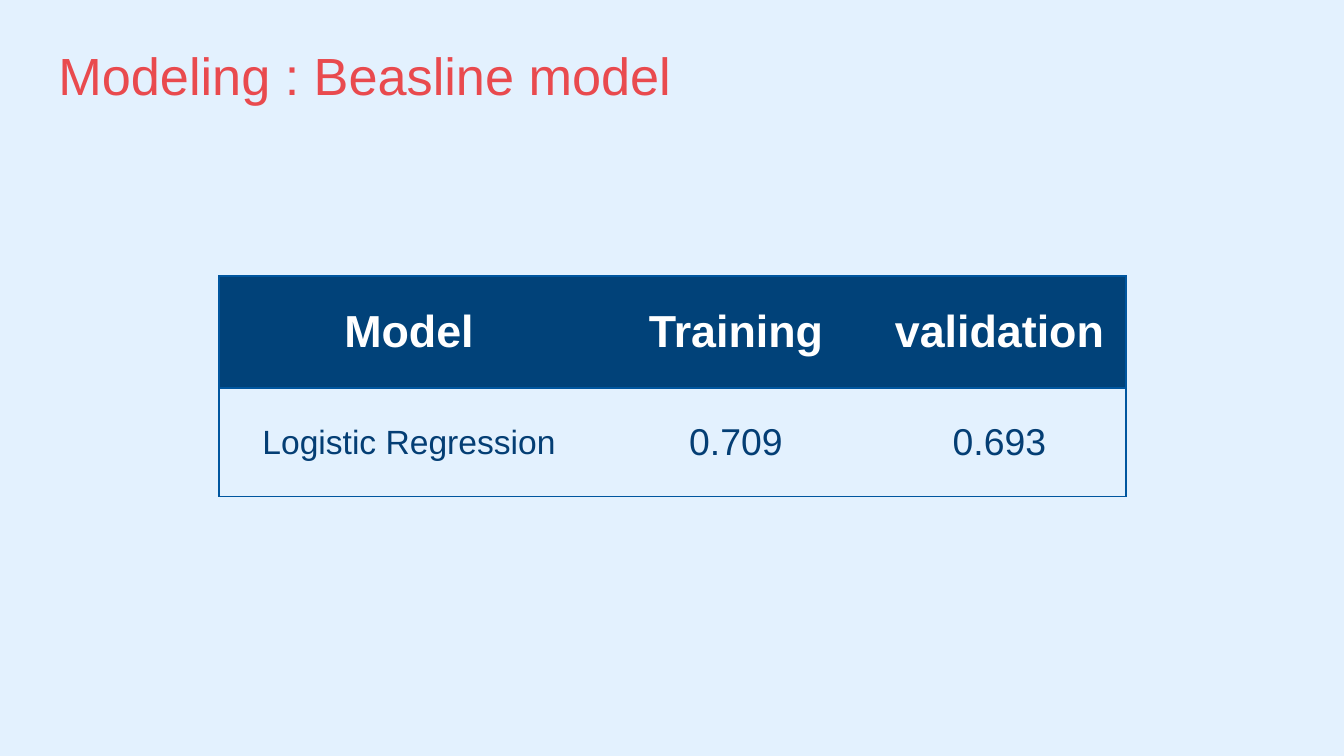
from lxml.etree import SubElement
from pptx import Presentation
from pptx.dml.color import RGBColor
from pptx.enum.text import MSO_ANCHOR, PP_ALIGN
from pptx.oxml.ns import qn
from pptx.util import Pt

PX = 914400 / 134.4
BACKGROUND = RGBColor(0xE3, 0xF1, 0xFE)
CORAL = RGBColor(0xE9, 0x4A, 0x4E)
NAVY = RGBColor(0x01, 0x42, 0x79)
INK = RGBColor(0x04, 0x3E, 0x74)
BORDER = RGBColor(0x00, 0x56, 0x9F)
WHITE = RGBColor(0xFF, 0xFF, 0xFF)


def px(length):
    return round(length * PX)


def set_borders(cell, drawn_sides):
    """Draw the sides named in drawn_sides (of "LRTB") and clear the others."""
    properties = cell._tc.get_or_add_tcPr()
    for index, side in enumerate("LRTB"):
        line = SubElement(properties, qn(f"a:ln{side}"), w=str(Pt(0.75)))
        if side in drawn_sides:
            fill = SubElement(line, qn("a:solidFill"))
            SubElement(fill, qn("a:srgbClr"), val=str(BORDER))
        else:
            SubElement(line, qn("a:noFill"))
        properties.insert(index, line)


presentation = Presentation()
presentation.slide_width = px(1344)
presentation.slide_height = px(756)
slide = presentation.slides.add_slide(presentation.slide_layouts[5])
slide.background.fill.solid()
slide.background.fill.fore_color.rgb = BACKGROUND

title = slide.shapes.title
title.left, title.top, title.width, title.height = px(-263), px(30), px(1255), px(116)
title_frame = title.text_frame
title_frame.text = "Modeling : Beasline model"
title_frame.vertical_anchor = MSO_ANCHOR.TOP
title_frame.margin_left = title_frame.margin_right = px(13)
title_frame.margin_top = title_frame.margin_bottom = px(13)
heading = title_frame.paragraphs[0]
heading.alignment = PP_ALIGN.CENTER
heading.font.name = "Arial"
heading.font.size = Pt(28)
heading.font.color.rgb = CORAL

scores = [
    ["Model", "Training", "validation"],
    ["Logistic Regression", "0.709", "0.693"],
]
column_widths = [380, 274, 253]
row_heights = [112, 109]

table = slide.shapes.add_table(
    len(scores), len(column_widths),
    px(219), px(276), px(sum(column_widths)), px(sum(row_heights)),
).table
table.first_row = False
table.horz_banding = False
for column, width in zip(table.columns, column_widths):
    column.width = px(width)

for row_index, (row, height) in enumerate(zip(scores, row_heights)):
    table.rows[row_index].height = px(height)
    is_header = row_index == 0
    for column_index, wording in enumerate(row):
        cell = table.cell(row_index, column_index)
        cell.text = wording
        cell.vertical_anchor = MSO_ANCHOR.MIDDLE
        if is_header:
            cell.fill.solid()
            cell.fill.fore_color.rgb = NAVY
        else:
            cell.fill.background()

        paragraph = cell.text_frame.paragraphs[0]
        paragraph.alignment = PP_ALIGN.CENTER
        paragraph.font.name = "Arial"
        paragraph.font.bold = is_header
        paragraph.font.color.rgb = WHITE if is_header else INK
        body_size = 18 if column_index == 0 else 20
        paragraph.font.size = Pt(24 if is_header else body_size)

        drawn_sides = "TB"
        if column_index == 0:
            drawn_sides += "L"
        if column_index == len(row) - 1:
            drawn_sides += "R"
        set_borders(cell, drawn_sides)

presentation.save("out.pptx")
